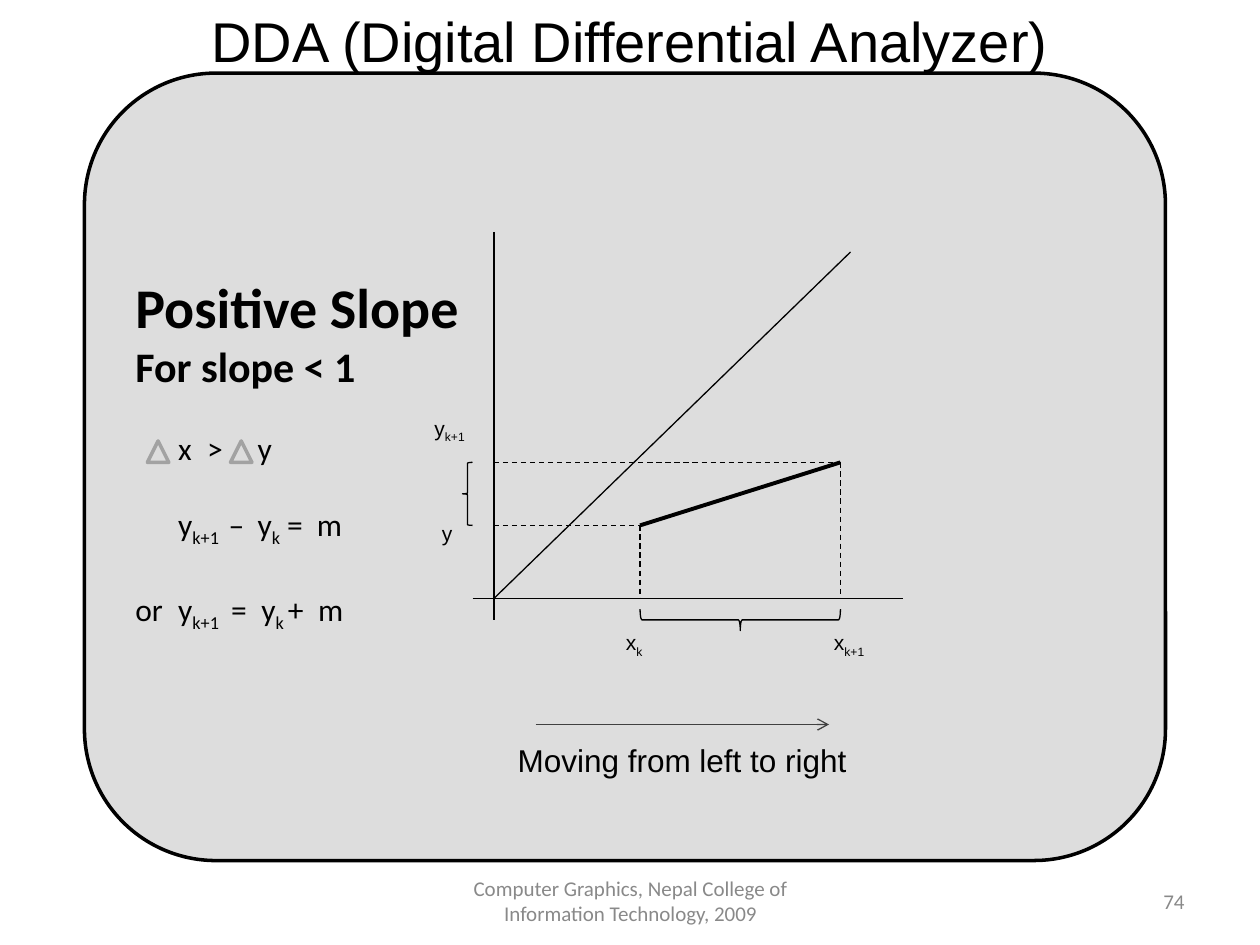
from dataclasses import dataclass

from lxml.etree import SubElement
from pptx import Presentation
from pptx.dml.color import RGBColor
from pptx.enum.dml import MSO_LINE
from pptx.enum.shapes import MSO_CONNECTOR, MSO_SHAPE
from pptx.enum.text import MSO_ANCHOR, MSO_AUTO_SIZE, PP_ALIGN
from pptx.oxml.ns import qn
from pptx.util import Inches, Pt


@dataclass(frozen=True)
class Theme:
    ink: str = "000000"
    panel: str = "DDDDDD"
    triangle: str = "A2A2A2"
    arrow: str = "404040"
    footer: str = "898989"
    heading_font: str = "Arial"
    body_font: str = "Calibri"
    title: int = 32
    subtitle: int = 24
    body: int = 18
    small: int = 12
    thin: float = 0.75
    outline: float = 2
    thick: float = 2.25


THEME = Theme()

# In every text, "_" opens a subscript and "|" closes it.
PANEL = (0.67, 0.58, 8.58, 6.25)
PANEL_TOP_INSET = 1.28
# text, size, bold, points before, tab stops in inches
PANEL_LINES = [
    ("Positive Slope", THEME.title, True, 0, []),
    ("For slope < 1", THEME.subtitle, True, 0, []),
    ("\tx\t>\ty", THEME.body, False, 22, [0.34, 0.57, 0.97]),
    ("\ty_k+1|\t–\ty_k| =\tm", THEME.body, False, 22, [0.34, 0.74, 0.97, 1.44]),
    ("or\ty_k+1|\t=\ty_k|\t+\tm", THEME.body, False, 24,
     [0.34, 0.76, 1.0, 1.21, 1.45]),
]
TRIANGLES = [(1.17, 3.5), (1.83, 3.5)]
TRIANGLE_SIZE = 0.17

# Graph coordinates
AXIS_X, AXIS_Y = 3.92, 4.75
X_START, X_END = 5.08, 6.67
Y_START, Y_END = 4.17, 3.67
SOLID_LINES = [
    ((AXIS_X, 1.84), (AXIS_X, 4.92), THEME.thin),
    ((3.75, AXIS_Y), (7.17, AXIS_Y), THEME.thin),
    ((AXIS_X, AXIS_Y), (6.75, 2), THEME.thin),
    ((X_START, Y_START), (X_END, Y_END), THEME.thick),
]
SEGMENT_ENDS = [(X_START, Y_START), (X_END, Y_END)]
BRACE_DEPTH = 0.17

# text, place, size, font, colour, alignment
LABELS = [
    ("y_k+1|", (3.35, 3.25, 0.44, 0.33), THEME.small),
    ("y", (3.41, 4.08, 0.3, 0.3), THEME.small),
    ("x_k|", (4.87, 4.95, 0.33, 0.33), THEME.small),
    ("x_k+1|", (6.52, 4.95, 0.44, 0.33), THEME.small),
    ("Moving from left to right", (4.01, 5.83, 2.81, 0.4), THEME.body),
    ("DDA (Digital Differential Analyzer)", (1.58, 0, 6.9, 0.64), THEME.title),
]
FOOTERS = [
    ("Computer Graphics, Nepal College of Information Technology, 2009",
     (3.42, 6.95, 3.17, 0.4), PP_ALIGN.CENTER),
    ("74", (7.17, 6.95, 2.33, 0.4), PP_ALIGN.RIGHT),
]


def color(value):
    return RGBColor.from_string(value)


def inches(values):
    return [Inches(value) for value in values]


def set_tabs(para, stops):
    if stops:
        tabs = SubElement(para._p.get_or_add_pPr(), qn("a:tabLst"))
        for stop in stops:
            SubElement(tabs, qn("a:tab"), pos=str(Inches(stop)), algn="l")


def write(para, text, size, font, ink=THEME.ink, bold=False):
    """Add runs, lowering the parts held between "_" and "|"."""
    for part in text.split("|"):
        for level, piece in enumerate(part.split("_")):
            if piece:
                span = para.add_run()
                span.text = piece
                span.font.size, span.font.name = Pt(size), font
                span.font.bold = bold
                span.font.color.rgb = color(ink)
                if level:
                    span.font._element.set("baseline", "-25000")


def add_shape(page, kind, place, ink, width, fill=None):
    shape = page.shapes.add_shape(kind, *inches(place))
    shape.shadow.inherit = False
    if fill:
        shape.fill.solid()
        shape.fill.fore_color.rgb = color(fill)
    else:
        shape.fill.background()
    shape.line.color.rgb = color(ink)
    shape.line.width = Pt(width)
    return shape


def add_line(page, start, end, width=THEME.thin, ink=THEME.ink, dashed=False):
    line = page.shapes.add_connector(MSO_CONNECTOR.STRAIGHT, *inches(start + end))
    SubElement(line._element.spPr, qn("a:effectLst"))
    line.line.color.rgb = color(ink)
    line.line.width = Pt(width)
    if dashed:
        line.line.dash_style = MSO_LINE.DASH
    return line


def add_panel(page):
    panel = add_shape(page, MSO_SHAPE.ROUNDED_RECTANGLE, PANEL,
                      THEME.ink, THEME.outline, THEME.panel)
    panel.adjustments[0] = 0.167
    frame = panel.text_frame
    frame.vertical_anchor = MSO_ANCHOR.TOP
    frame.margin_top = Inches(PANEL_TOP_INSET)
    for index, (text, size, bold, before, stops) in enumerate(PANEL_LINES):
        para = frame.add_paragraph() if index else frame.paragraphs[0]
        para.alignment = PP_ALIGN.LEFT
        if before:
            para.space_before = Pt(before)
        set_tabs(para, stops)
        write(para, text, size, THEME.body_font, bold=bold)
    for place in TRIANGLES:
        add_shape(page, MSO_SHAPE.ISOSCELES_TRIANGLE,
                  place + (TRIANGLE_SIZE, TRIANGLE_SIZE),
                  THEME.triangle, THEME.outline, THEME.panel)


def add_graph(page):
    for start, end, width in SOLID_LINES:
        add_line(page, start, end, width)
    for x, y in SEGMENT_ENDS:
        add_line(page, (x, y), (x, AXIS_Y), dashed=True)
        add_line(page, (AXIS_X, y), (x, y), dashed=True)

    # The lower brace is an upright one turned about its centre.
    span = X_END - X_START
    center_x, center_y = (X_START + X_END) / 2, AXIS_Y + BRACE_DEPTH
    lower = (center_x - BRACE_DEPTH / 2, center_y - span / 2, BRACE_DEPTH, span)
    add_shape(page, MSO_SHAPE.RIGHT_BRACE, lower, THEME.ink, THEME.thin).rotation = 90
    add_shape(page, MSO_SHAPE.LEFT_BRACE, (3.67, Y_END, 0.08, Y_START - Y_END),
              THEME.ink, THEME.thin)

    arrow = add_line(page, (4.25, 5.75), (6.58, 5.75), ink=THEME.arrow)
    SubElement(arrow.line._get_or_add_ln(), qn("a:tailEnd"), type="arrow")


def add_texts(page):
    for text, place, size in LABELS:
        frame = page.shapes.add_textbox(*inches(place)).text_frame
        frame.word_wrap = False
        frame.auto_size = MSO_AUTO_SIZE.SHAPE_TO_FIT_TEXT
        write(frame.paragraphs[0], text, size, THEME.heading_font)
    for text, place, alignment in FOOTERS:
        frame = page.shapes.add_textbox(*inches(place)).text_frame
        frame.word_wrap = True
        frame.vertical_anchor = MSO_ANCHOR.MIDDLE
        frame.paragraphs[0].alignment = alignment
        write(frame.paragraphs[0], text, THEME.small, THEME.body_font, THEME.footer)


def main():
    deck = Presentation()
    deck.slide_width, deck.slide_height = Inches(10), Inches(7.5)
    page = deck.slides.add_slide(deck.slide_layouts[6])
    add_panel(page)
    add_graph(page)
    add_texts(page)
    deck.save("out.pptx")


if __name__ == "__main__":
    main()
